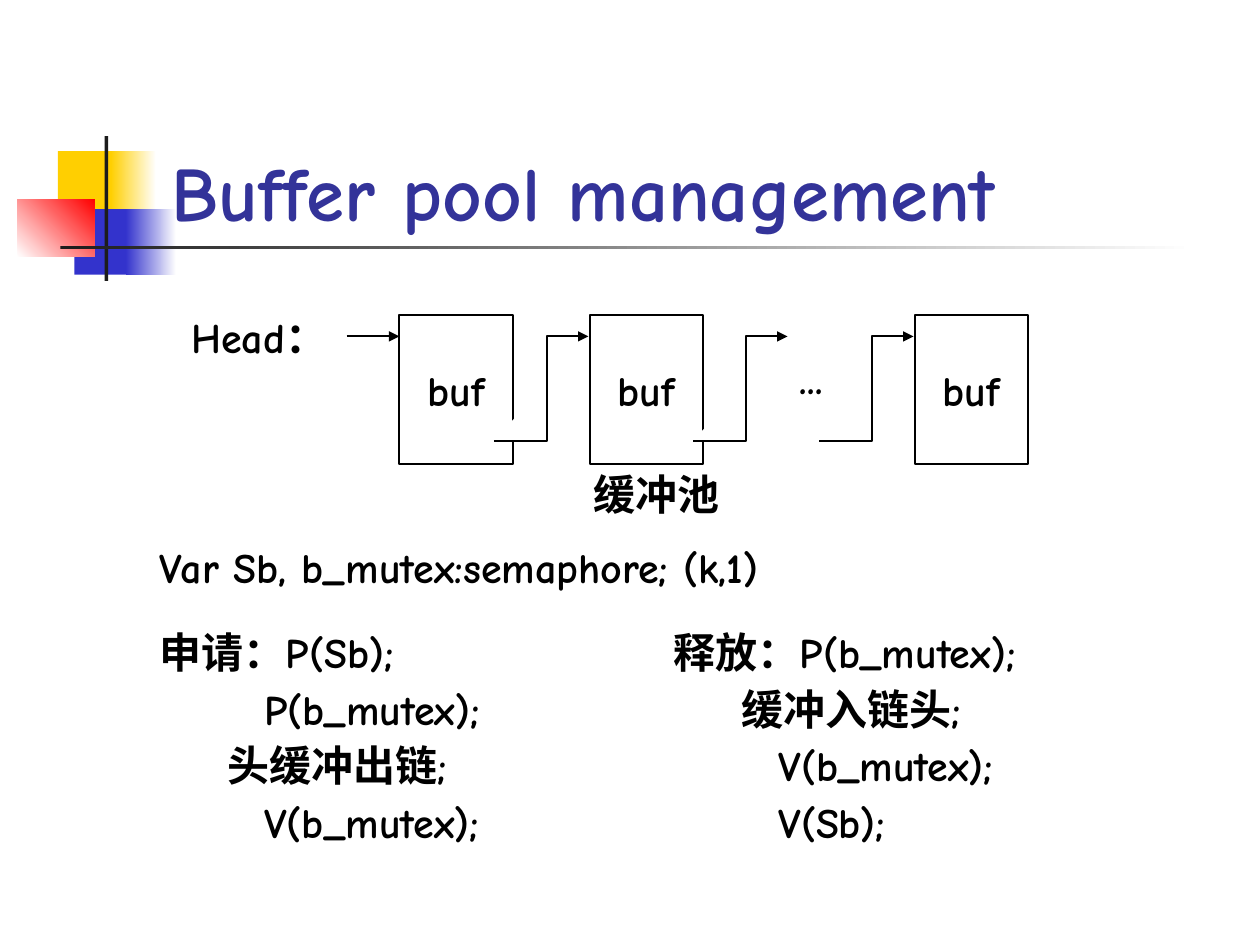
from dataclasses import dataclass

from lxml import etree
from pptx import Presentation
from pptx.dml.color import RGBColor
from pptx.enum import shapes, text
from pptx.oxml.ns import qn
from pptx.util import Inches, Pt

COLORS = {
    "yellow": "FFCF01", "blue": "3333CC", "red": "FF0000", "dark": "1C1C1C",
    "white": "FFFFFF", "black": "000000", "title": "333399",
}
LATIN, SERIF, SANS = "Comic Neue", "Times New Roman", "Karla"


@dataclass
class Bar:
    left: float
    top: float
    width: float
    height: float
    start: str
    end: str = ""
    angle: int = 0


@dataclass
class Line:
    runs: list[tuple[str, str]]  # wording and font
    indent: float = 0


def rgb(name: str) -> RGBColor:
    return RGBColor.from_string(COLORS[name])


def add_rect(sl, left: float, top: float, width: float, height: float):
    sp = sl.shapes.add_shape(shapes.MSO_SHAPE.RECTANGLE, Inches(left), Inches(top),
                             Inches(width), Inches(height))
    sp.shadow.inherit = False
    sp.line.fill.background()
    return sp


def add_bar(sl, bar: Bar) -> None:
    fill = add_rect(sl, bar.left, bar.top, bar.width, bar.height).fill
    if bar.end:
        fill.gradient()
        fill.gradient_angle = bar.angle
        for stop, name in zip(fill.gradient_stops, (bar.start, bar.end)):
            stop.color.rgb = rgb(name)
    else:
        fill.solid()
        fill.fore_color.rgb = rgb(bar.start)


def style_run(r, font: str, size: int = 24, color: str = "black") -> None:
    r.font.name, r.font.size, r.font.bold = font, Pt(size), True
    r.font.color.rgb = rgb(color)


def style_line(sp, arrow: bool = False) -> None:
    sp.line.color.rgb = rgb("black")
    sp.line.width = Pt(1.25)
    if arrow:
        etree.SubElement(sp.line._get_or_add_ln(), qn("a:tailEnd"), type="triangle")


def add_buffer(sl, left: float) -> None:
    sp = add_rect(sl, left, 2.5, 0.9, 1.18)
    sp.fill.solid()
    sp.fill.fore_color.rgb = rgb("white")
    style_line(sp)
    tf = sp.text_frame
    tf.text = "buf"
    tf.word_wrap = False
    tf.vertical_anchor = text.MSO_ANCHOR.MIDDLE
    p = tf.paragraphs[0]
    p.alignment = text.PP_ALIGN.CENTER
    style_run(p.runs[0], LATIN)


def add_step_arrow(sl, left: float) -> None:
    points = [(Inches(left + dx), Inches(y))
              for dx, y in ((0, 3.5), (0.42, 3.5), (0.42, 2.67), (0.75, 2.67))]
    builder = sl.shapes.build_freeform(*points[0])
    builder.add_line_segments(points[1:], close=False)
    sp = builder.convert_to_shape()
    sp.shadow.inherit = False
    sp.fill.solid()
    sp.fill.fore_color.rgb = rgb("white")
    style_line(sp, arrow=True)


def add_text(sl, left: float, top: float, width: float, height: float,
             lines: list[Line]) -> None:
    tf = sl.shapes.add_textbox(Inches(left), Inches(top), Inches(width),
                               Inches(height)).text_frame
    tf.word_wrap = True
    for i, line in enumerate(lines):
        p = tf.add_paragraph() if i else tf.paragraphs[0]
        if i:
            p.line_spacing = 0.7
            p.space_before = Pt(12)
            p._p.get_or_add_pPr().set("marL", str(Inches(line.indent)))
        for wording, font in line.runs:
            r = p.add_run()
            r.text = wording
            style_run(r, font)


BARS = [
    Bar(0.46, 1.2, 0.48, 0.52, "yellow"),
    Bar(0.88, 1.2, 0.36, 0.52, "yellow", "white"),
    Bar(0.59, 1.66, 0.46, 0.52, "blue"),
    Bar(1, 1.66, 0.4, 0.52, "blue", "white"),
    Bar(0.14, 1.58, 0.61, 0.46, "white", "red", 45),
    Bar(0.83, 1.08, 0.03, 1.15, "dark"),
    Bar(0.48, 1.95, 9, 0.03, "dark", "white"),
]
CODE, WORDS = 0.83, 0.54  # indents of code lines and of worded steps
REQUEST = [
    Line([("申请：", SERIF), ("P(Sb);", LATIN)]),
    Line([("P(b_mutex);", LATIN)], CODE),
    Line([("头缓冲出链;", LATIN)], WORDS),
    Line([("V(b_mutex);", LATIN)], CODE),
]
RELEASE = [
    Line([("释放：", SERIF), ("P(b_mutex);", LATIN)]),
    Line([("缓冲入链头;", LATIN)], WORDS),
    Line([("V(b_mutex);", LATIN)], CODE),
    Line([("V(Sb);", LATIN)], CODE),
]


def main() -> None:
    prs = Presentation()
    prs.slide_width, prs.slide_height = Inches(10), Inches(7.5)
    sl = prs.slides.add_slide(prs.slide_layouts[5])

    # Corner decoration
    for bar in BARS:
        add_bar(sl, bar)

    # Title, in front of the decoration
    title = sl.shapes.title
    title.left, title.top = Inches(1.26), Inches(0.68)
    title.width, title.height = Inches(8.52), Inches(1.25)
    tf = title.text_frame
    tf.text = "Buffer pool management"
    tf.auto_size = text.MSO_AUTO_SIZE.NONE
    tf.vertical_anchor = text.MSO_ANCHOR.BOTTOM
    tf.paragraphs[0].alignment = text.PP_ALIGN.LEFT
    style_run(tf.paragraphs[0].runs[0], LATIN, 44, "title")
    sl.shapes._spTree.append(title._element)

    # Linked buffers
    for left in (3.17, 4.68, 7.26):
        add_buffer(sl, left)
    head = sl.shapes.add_connector(shapes.MSO_CONNECTOR.STRAIGHT, Inches(2.75),
                                   Inches(2.67), Inches(3.17), Inches(2.67))
    style_line(head, arrow=True)
    etree.SubElement(head._element.spPr, qn("a:effectLst"))
    for left in (3.92, 5.5, 6.5):
        add_step_arrow(sl, left)

    # Labels and operations
    add_text(sl, 6.25, 2.75, 0.5, 0.5, [Line([("...", LATIN)])])
    add_text(sl, 1.42, 2.42, 1.5, 0.5, [Line([("Head", LATIN), ("：", SERIF)])])
    add_text(sl, 4.61, 3.67, 1.89, 0.5, [Line([("缓冲池", SANS)])])
    add_text(sl, 1.17, 4.25, 7.42, 0.5,
             [Line([("Var Sb, b_mutex:semaphore; (k,1)", LATIN)])])
    add_text(sl, 1.17, 4.92, 3.58, 1.94, REQUEST)
    add_text(sl, 5.25, 4.92, 3.58, 1.94, RELEASE)

    prs.save("out.pptx")


if __name__ == "__main__":
    main()
